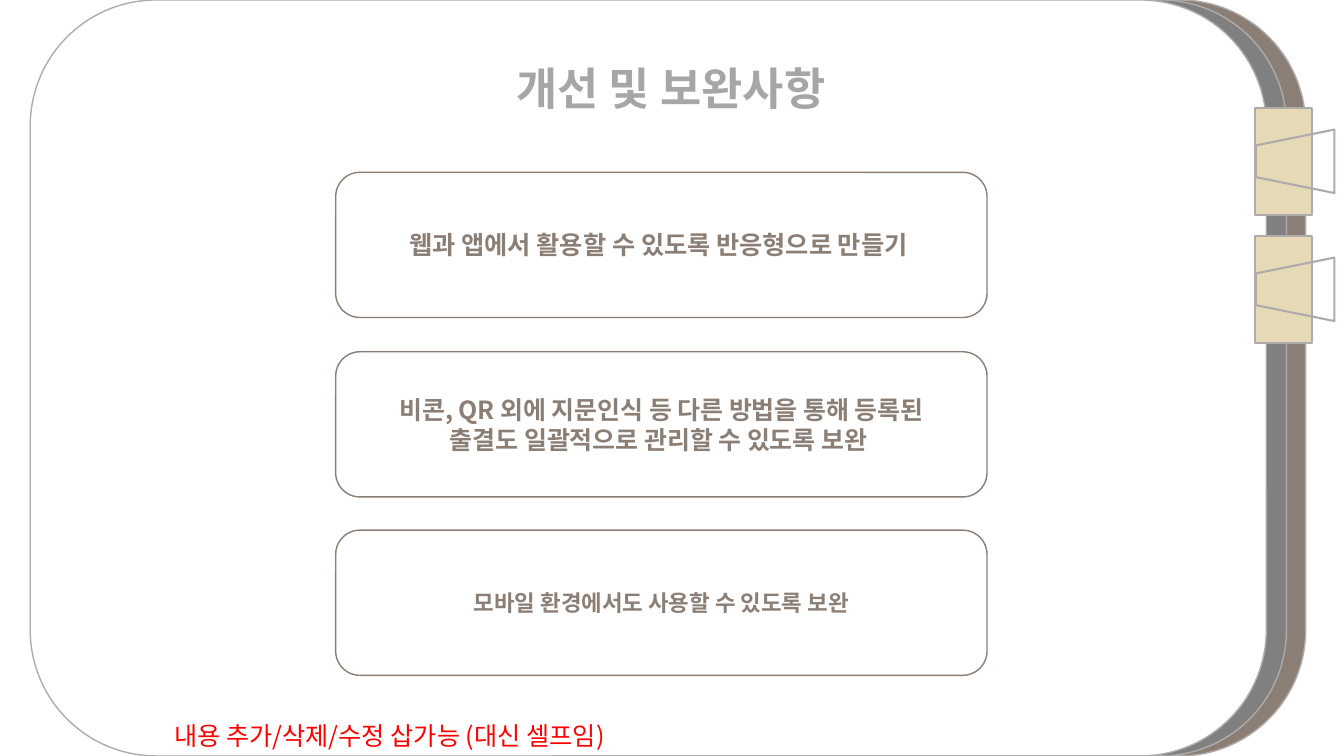
from lxml.etree import SubElement
from pptx import Presentation
from pptx.dml.color import RGBColor
from pptx.enum.shapes import MSO_SHAPE as Shape
from pptx.enum.text import MSO_ANCHOR as Anchor, MSO_AUTO_SIZE as AutoSize, PP_ALIGN as Align
from pptx.oxml.ns import qn
from pptx.util import Pt

PX = 9144
FONT = "Noto Sans CJK KR"
BROWN = RGBColor(0x8B, 0x7E, 0x74)
GRAY = RGBColor(0x80, 0x80, 0x80)
WHITE = RGBColor(0xFF, 0xFF, 0xFF)
SAND = RGBColor(0xE5, 0xD9, 0xB6)
OUTLINE = RGBColor(0xAF, 0xAB, 0xAB)
TITLE_GRAY = RGBColor(0xA6, 0xA6, 0xA6)
RED = RGBColor(0xFF, 0x00, 0x00)

IMPROVEMENTS = [
    ("웹과 앱에서 활용할 수 있도록 반응형으로 만들기 ", 18),
    ("비콘, QR 외에 지문인식 등 다른 방법을 통해 등록된 출결도 일괄적으로 관리할 수 있도록 보완 ", 17.8),
    ("모바일 환경에서도 사용할 수 있도록 보완", 16),
]


def px(*lengths):
    return [length * PX for length in lengths]


def write(shape, text, size, color, bold=False, align=Align.LEFT, anchor=Anchor.TOP,
          wrap=True, auto_size=AutoSize.NONE, side_margin=10):
    frame = shape.text_frame
    frame.word_wrap = wrap
    frame.auto_size = auto_size
    frame.vertical_anchor = anchor
    frame.margin_left, frame.margin_right = px(side_margin, side_margin)
    paragraph = frame.paragraphs[0]
    paragraph.alignment = align
    run = paragraph.add_run()
    run.text = text
    run.font.size = Pt(size)
    run.font.bold = bold
    run.font.color.rgb = color
    run.font.name = FONT
    SubElement(run._r.get_or_add_rPr(), qn("a:ea")).set("typeface", FONT)


def add_outlined(slide, kind, left, top, width, height, fill=None, line=OUTLINE, weight=1):
    shape = slide.shapes.add_shape(kind, *px(left, top, width, height))
    shape.shadow.inherit = False
    if fill is None:
        shape.fill.background()
    else:
        shape.fill.solid()
        shape.fill.fore_color.rgb = fill
    shape.line.color.rgb = line
    shape.line.width = Pt(weight)
    return shape


def add_notebook(slide, height):
    for left, width, fill in [(69, 1226, BROWN), (70, 1206, GRAY), (30, 1226, WHITE)]:
        add_outlined(slide, Shape.ROUNDED_RECTANGLE, left, 0, width, height, fill)


def add_clasp(slide, left, top):
    add_outlined(slide, Shape.RECTANGLE, left, top, 56, 106, SAND, weight=1.5)
    flap = add_outlined(slide, Shape.TRAPEZOID, left + 8, top + 14, 63, 78, weight=1.5)
    flap.rotation = 270


def add_title(slide, left, top, width, height):
    title = slide.shapes.title
    title.left, title.top, title.width, title.height = px(left, top, width, height)
    title.element.getparent().append(title.element)
    write(title, "개선 및 보완사항", 32, TITLE_GRAY, bold=True, align=Align.CENTER,
          wrap=False, auto_size=AutoSize.SHAPE_TO_FIT_TEXT)


def add_improvements(slide, left, top, width, height):
    card_height = 144
    step = (height - card_height) / (len(IMPROVEMENTS) - 1)
    for index, (text, size) in enumerate(IMPROVEMENTS):
        card = add_outlined(slide, Shape.ROUNDED_RECTANGLE, left, top + round(index * step),
                            width, card_height, WHITE, BROWN)
        write(card, text, size, BROWN, bold=True, align=Align.CENTER, anchor=Anchor.MIDDLE,
              side_margin=30)


def add_remark(slide, left, top, width, height):
    remark = slide.shapes.add_textbox(*px(left, top, width, height))
    write(remark, "내용 추가/삭제/수정 삽가능 (대신 셀프임)", 18, RED,
          auto_size=AutoSize.SHAPE_TO_FIT_TEXT)


def main():
    presentation = Presentation()
    presentation.slide_width, presentation.slide_height = px(1333, 750)
    slide = presentation.slides.add_slide(presentation.slide_layouts[5])
    add_notebook(slide, 750)
    for top in (107, 234):
        add_clasp(slide, 1245, top)
    add_title(slide, 497, 55, 337, 64)
    add_improvements(slide, 333, 171, 646, 499)
    add_remark(slide, 163, 710, 504, 40)
    presentation.save("out.pptx")


if __name__ == "__main__":
    main()
